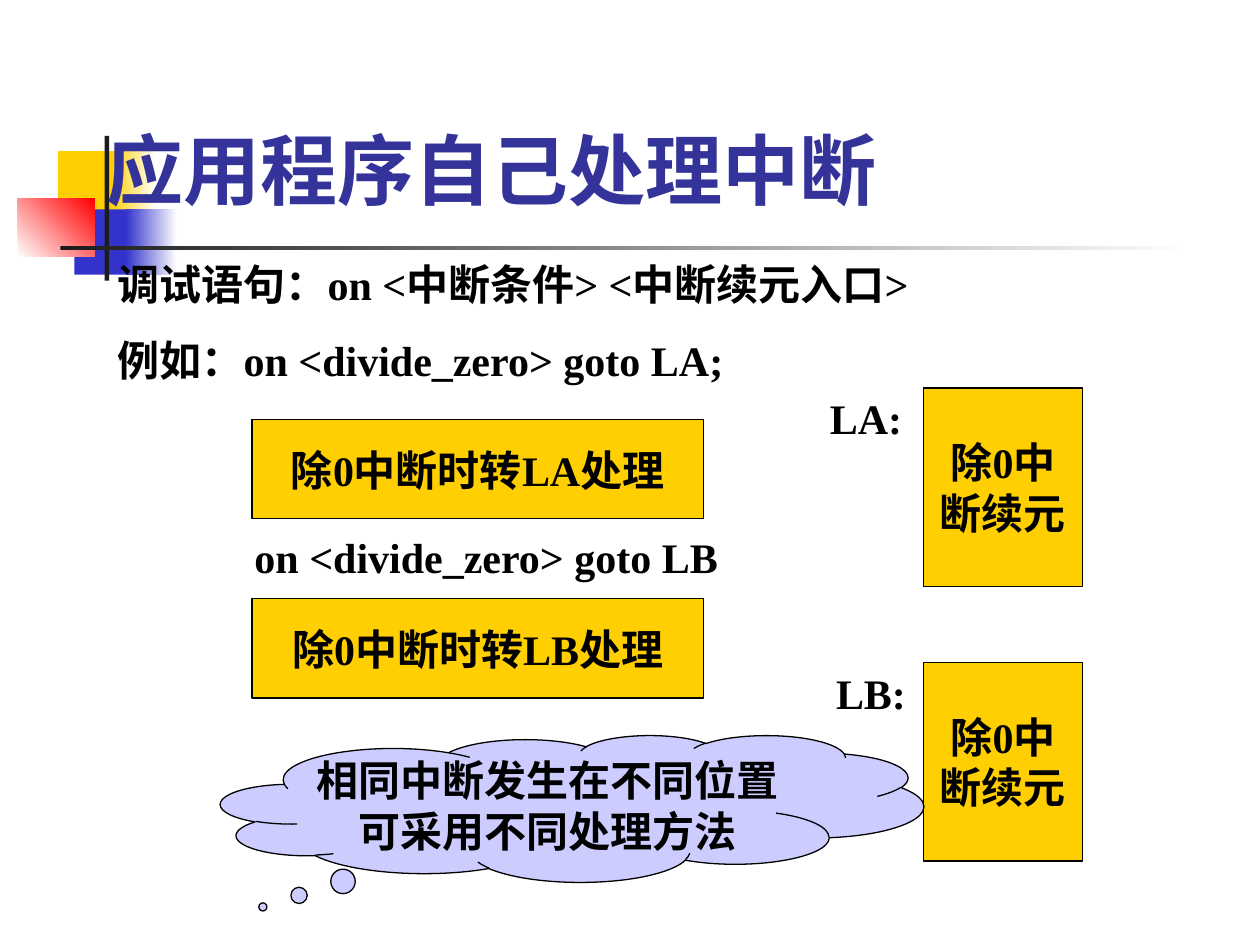
from pptx import Presentation
from pptx.dml.color import RGBColor
from pptx.enum.shapes import MSO_SHAPE as Preset
from pptx.enum.text import MSO_ANCHOR as Anchor, PP_ALIGN as Align
from pptx.util import Cm, Pt

GOLD = RGBColor(0xFF, 0xCF, 0x01)
BLUE = RGBColor(0x33, 0x33, 0xCC)
RED = RGBColor(0xFF, 0x00, 0x00)
DARK = RGBColor(0x1C, 0x1C, 0x1C)
WHITE = RGBColor(0xFF, 0xFF, 0xFF)
BLACK = RGBColor(0x00, 0x00, 0x00)
INDIGO = RGBColor(0x33, 0x33, 0x99)
LILAC = RGBColor(0xCC, 0xCC, 0xFF)

BODY_FONT = {"name": "Times New Roman", "size": Pt(24), "bold": True}
TITLE_FONT = {"name": "Roboto", "size": Pt(44), "bold": True}


def apply(target, values):
    """Set every attribute of the dict on the target."""
    for attribute, value in values.items():
        setattr(target, attribute, value)


def write(shape, lines, font=BODY_FONT, color=BLACK, frame=None, paragraph=None):
    """Put one paragraph per line into the shape."""
    text = shape.text_frame
    apply(text, frame or {})
    text.text = "\n".join(lines)
    for line in text.paragraphs:
        apply(line, paragraph or {})
        apply(line.font, font)
        line.font.color.rgb = color


def add_block(slide, box, fill, outline=None, preset=Preset.RECTANGLE):
    """Draw a flat filled shape in the box."""
    block = slide.shapes.add_shape(preset, *map(Cm, box))
    block.shadow.inherit = False
    block.fill.solid()
    block.fill.fore_color.rgb = fill
    if outline is None:
        block.line.fill.background()
    else:
        block.line.color.rgb = outline
        block.line.width = Pt(0.75)
    return block


def add_fade(slide, box, start, end, angle=0):
    """Draw a rectangle that fades from one colour to another."""
    fade = add_block(slide, box, start)
    fade.fill.gradient()
    fade.fill.gradient_angle = angle
    for stop, color, position in zip(fade.fill.gradient_stops, (start, end), (0, 1)):
        stop.color.rgb = color
        stop.position = position


def add_ornament(slide, box):
    """Draw the coloured squares and the two bars beside the title."""
    left, top, width, height = box
    for color, x, y, solid, fade_x, fade in (
        (GOLD, 0.81, 0.31, 1.22, 1.88, 0.91),
        (BLUE, 1.14, 1.48, 1.17, 2.18, 1.02),
    ):
        add_block(slide, (left + x, top + y, solid, 1.32), color)
        add_fade(slide, (left + fade_x, top + y, fade, 1.32), color, WHITE)
    add_fade(slide, (left, top + 1.27, 1.55, 1.17), WHITE, RED, 45)
    add_block(slide, (left + 1.75, top, 0.09, height), DARK)
    add_fade(slide, (left + 0.86, top + 2.21, width - 0.86, 0.09), DARK, WHITE)


def add_title(slide, box):
    """Place the slide title at the bottom of the box."""
    title = slide.shapes.add_textbox(*map(Cm, box))
    write(title, ["应用程序自己处理中断"], TITLE_FONT, INDIGO,
          {"word_wrap": True, "vertical_anchor": Anchor.BOTTOM})


def add_statements(slide, box, lines):
    """Place statement lines, spaced apart, in the box."""
    statements = slide.shapes.add_textbox(*map(Cm, box))
    write(statements, lines, frame={"word_wrap": True},
          paragraph={"space_before": Pt(15)})


def add_caption_block(slide, box, lines, fill=GOLD, outline=BLACK,
                      preset=Preset.RECTANGLE):
    """Draw a shape with centred text."""
    block = add_block(slide, box, fill, outline, preset)
    write(block, lines,
          frame={"word_wrap": False, "vertical_anchor": Anchor.MIDDLE},
          paragraph={"alignment": Align.CENTER})
    return block


def add_handler(slide, box, label):
    """Place a label at the left and its handler block at the right of the box."""
    left, top, width, height = box
    add_caption_block(slide, (left + width - 3.2, top, 3.2, height),
                      ["除0中", "断续元"])
    add_caption_block(slide, (left, top, 1.5, 1.19), [label], WHITE, None)


def add_remark(slide, box):
    """Draw the thought cloud with the closing remark."""
    cloud = add_caption_block(
        slide, box, ["相同中断发生在不同位置", "可采用不同处理方法"],
        LILAC, BLACK, Preset.CLOUD_CALLOUT)
    cloud.adjustments[0] = -0.44
    cloud.adjustments[1] = 0.67


def main():
    """Build the slide and save it."""
    deck = Presentation()
    apply(deck, {"slide_width": Cm(25.4), "slide_height": Cm(19.05)})
    slide = deck.slides.add_slide(deck.slide_layouts[6])
    add_ornament(slide, (0.36, 2.74, 23.72, 2.92))
    add_title(slide, (1.9, 1.27, 21.6, 3.18))
    add_statements(slide, (2.12, 5.08, 21.38, 2.82),
                   ["调试语句：on <中断条件> <中断续元入口>",
                    "例如：on <divide_zero> goto LA;"])
    add_caption_block(slide, (5.08, 8.46, 9.1, 2), ["除0中断时转LA处理"])
    add_statements(slide, (4.88, 10.58, 18.62, 1.27), ["on <divide_zero> goto LB"])
    add_caption_block(slide, (5.08, 12.07, 9.1, 2), ["除0中断时转LB处理"])
    add_handler(slide, (16.71, 7.82, 5.11, 4), "LA:")
    add_handler(slide, (16.81, 13.36, 5.01, 4), "LB:")
    add_remark(slide, (4.45, 14.82, 14.17, 2.96))
    deck.save("out.pptx")


if __name__ == "__main__":
    main()
